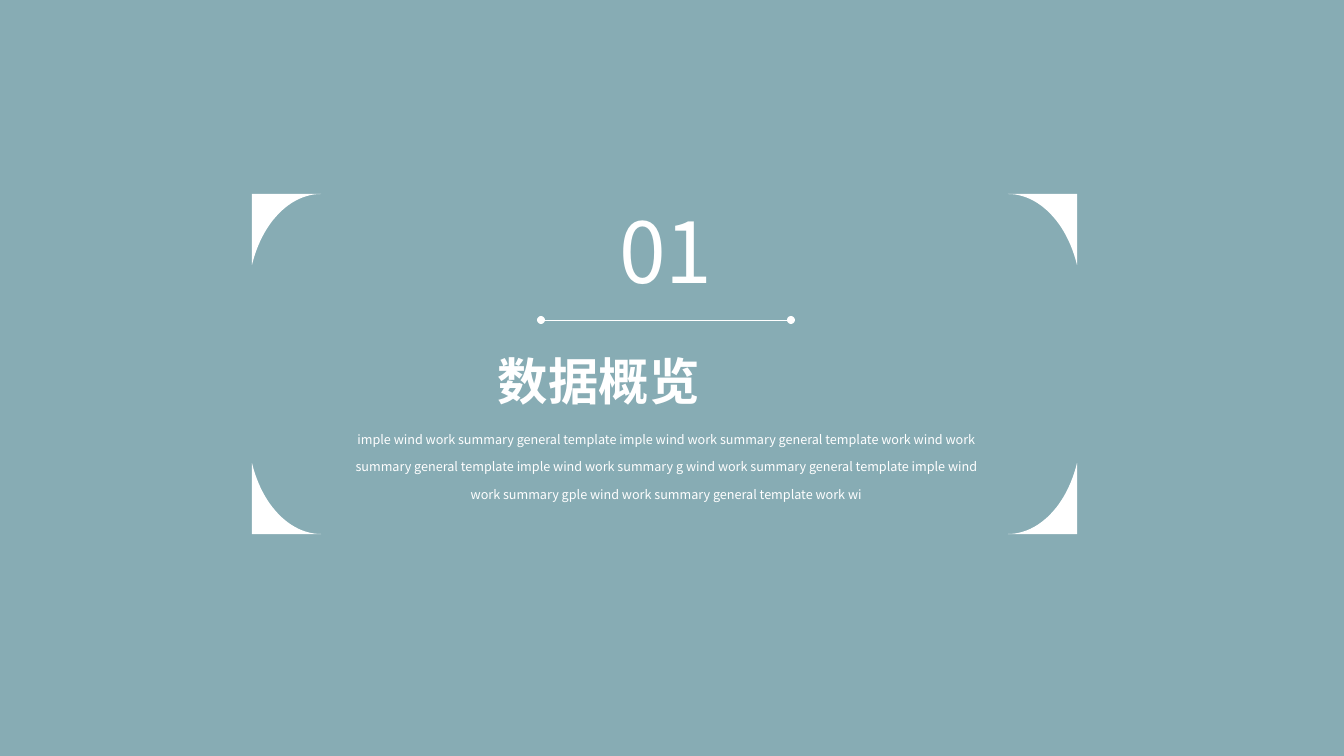
from dataclasses import dataclass

from lxml import etree
from pptx import Presentation
from pptx import util as u
from pptx.dml.color import RGBColor
from pptx.enum import shapes, text
from pptx.oxml.ns import qn


@dataclass(frozen=True)
class Theme:
    ground: RGBColor = RGBColor(0x87, 0xAC, 0xB4)
    ink: RGBColor = RGBColor(0xFF, 0xFF, 0xFF)
    sans: str = "Noto Sans CJK SC"
    title_font: str = "Calibri"
    number_size: int = 60
    title_size: int = 36
    body_size: int = 9


theme = Theme()
PX = 12192000 / 1344


def px(length):
    return u.Emu(round(length * PX))


def paint(shape):
    shape.shadow.inherit = False
    shape.fill.solid()
    shape.fill.fore_color.rgb = theme.ink
    shape.line.fill.background()


deck = Presentation()
deck.slide_width, deck.slide_height = px(1344), px(756)
page = deck.slides.add_slide(deck.slide_layouts[6])
page.background.fill.solid()
page.background.fill.fore_color.rgb = theme.ground

# Frame corners: one curved wedge, mirrored towards the middle
left, top, right, bottom = 252, 194, 1077, 534
curve = [(69, 0), (38, 0), (10, 29), (0, 71)]
steps = 24
wedge = [(0, 0)]
for step in range(steps + 1):
    t = step / steps
    weights = [(1 - t) ** 3, 3 * t * (1 - t) ** 2, 3 * t ** 2 * (1 - t), t ** 3]
    wedge.append(tuple(sum(w * point[axis] for w, point in zip(weights, curve))
                       for axis in (0, 1)))

for x, x_way in ((left, 1), (right, -1)):
    for y, y_way in ((top, 1), (bottom, -1)):
        points = [(px(x + x_way * dx), px(y + y_way * dy)) for dx, dy in wedge]
        builder = page.shapes.build_freeform(*points[0], scale=1.0)
        builder.add_line_segments(points[1:], close=True)
        paint(builder.convert_to_shape())

# Divider with a dot at each end
rule_y, dot = 320, 8
rule = page.shapes.add_connector(shapes.MSO_CONNECTOR.STRAIGHT,
                                 px(541), px(rule_y), px(787), px(rule_y))
rule.line.color.rgb = theme.ink
rule.line.width = u.Pt(0.5)
etree.SubElement(rule._element.spPr, qn("a:effectLst"))
for x in (537, 787):
    paint(page.shapes.add_shape(shapes.MSO_SHAPE.OVAL, px(x), px(rule_y - dot / 2),
                                px(dot), px(dot)))

# Texts: wording, left, top, width, height, font, size, bold, alignment, line spacing
body = ("imple wind work summary general template imple wind work summary general "
        "template work wind work summary general template imple wind work summary g "
        "wind work summary general template imple wind work summary gple wind work "
        "summary general template work wi")
align = text.PP_ALIGN
texts = [
    ("01", 591, 195, 150, 112, theme.sans, theme.number_size, False, align.CENTER, 1.0),
    ("数据概览", 488, 345, 355, 72, theme.title_font, theme.title_size, True,
     align.JUSTIFY, 1.0),
    (body, 340, 415, 652, 93, theme.sans, theme.body_size, False, align.CENTER, 1.8),
]
for wording, x, y, width, height, font, size, bold, alignment, spacing in texts:
    box = page.shapes.add_textbox(px(x), px(y), px(width), px(height))
    box.text_frame.word_wrap = True
    box.text_frame.text = wording
    para = box.text_frame.paragraphs[0]
    para.alignment = alignment
    para.line_spacing = spacing
    span = para.runs[0]
    span.font.size = u.Pt(size)
    span.font.bold = bold
    span.font.color.rgb = theme.ink
    span.font.name = font
    etree.SubElement(span.font._element, qn("a:ea"), typeface=theme.sans)

deck.save("out.pptx")
